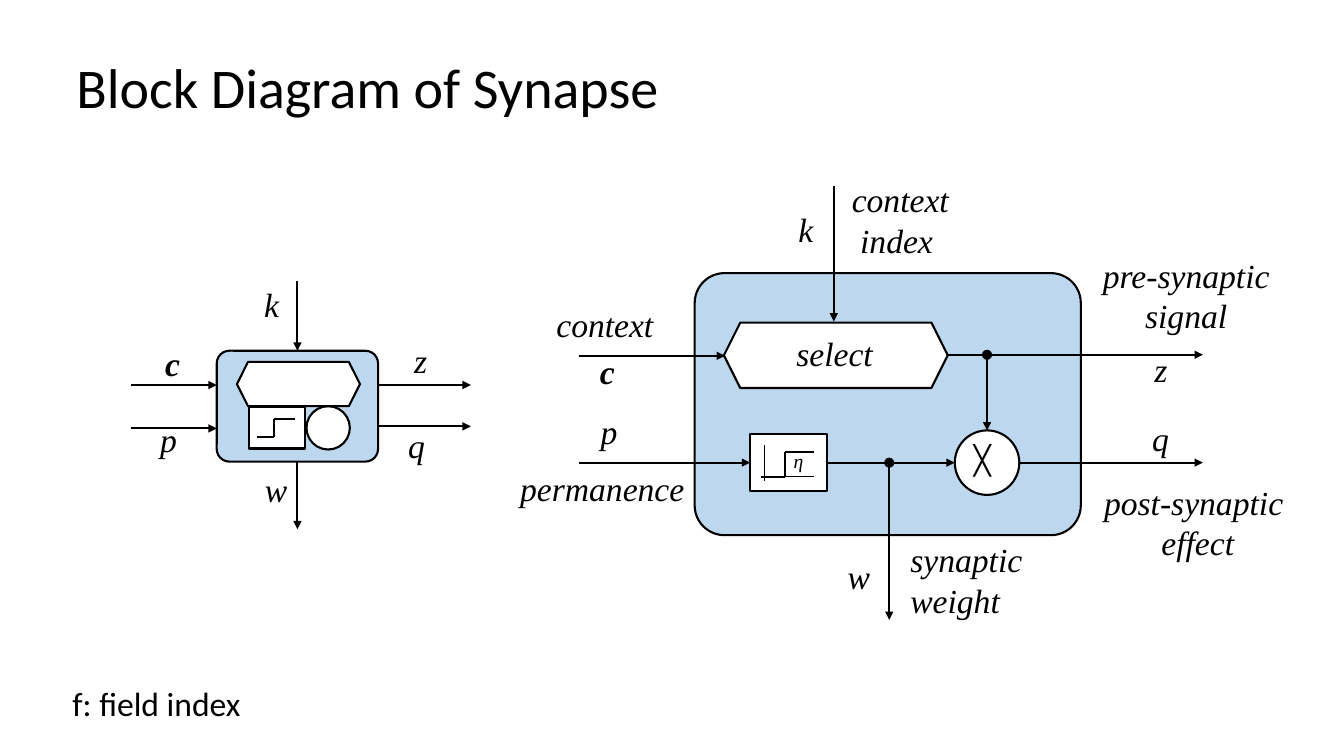
import itertools
from dataclasses import dataclass

import pptx
import pptx.dml.color
import pptx.enum.shapes
import pptx.enum.text
import pptx.oxml
import pptx.oxml.ns
import pptx.util

Inches = pptx.util.Inches
SHAPE = pptx.enum.shapes.MSO_SHAPE
ALIGN = pptx.enum.text.PP_ALIGN
TOP, LEFT, BOTTOM, RIGHT = range(4)


@dataclass(frozen=True)
class Theme:
    ink: str = "000000"
    block: str = "BDD7EE"
    white: str = "FFFFFF"
    heading_font: str = "Calibri"
    label_font: str = "Times New Roman"
    title_size: int = 40
    label_size: int = 24
    cross_size: int = 20
    small_size: int = 14
    line: float = 1.5
    axis_line: float = 0.5


THEME = Theme()


def rgb(value):
    return pptx.dml.color.RGBColor.from_string(value)


def add_text(slide, text, left, top, width, height, align=ALIGN.LEFT, wrap=False, **formats):
    """Add a text box with one paragraph for each line of text."""
    box = slide.shapes.add_textbox(Inches(left), Inches(top), Inches(width), Inches(height))
    frame = box.text_frame
    frame.word_wrap = wrap
    frame.auto_size = pptx.enum.text.MSO_AUTO_SIZE.SHAPE_TO_FIT_TEXT
    values = {"name": THEME.label_font, "size": THEME.label_size, "italic": True} | formats
    values["size"] = pptx.util.Pt(values["size"])
    for index, line in enumerate(text.split("\n")):
        paragraph = frame.paragraphs[0] if index == 0 else frame.add_paragraph()
        paragraph.alignment = align
        run = paragraph.add_run()
        run.text = line
        run.font.color.rgb = rgb(THEME.ink)
        for name, value in values.items():
            setattr(run.font, name, value)


def add_block(slide, kind, left, top, width, height, fill=THEME.white, corner=None):
    """Add an outlined shape."""
    shape = slide.shapes.add_shape(kind, Inches(left), Inches(top), Inches(width), Inches(height))
    shape.shadow.inherit = False
    shape.fill.solid()
    shape.fill.fore_color.rgb = rgb(fill)
    shape.line.color.rgb = rgb(THEME.ink)
    shape.line.width = pptx.util.Pt(THEME.line)
    if corner is not None:
        shape.adjustments[0] = corner
    return shape


def add_dot(slide, x, y, size=0.1):
    """Add a branch point centred on a signal line."""
    dot = add_block(slide, SHAPE.OVAL, x - size / 2, y - size / 2, size, size, THEME.ink)
    dot.line.fill.background()


def add_line(slide, start, end, width=THEME.line, arrow=False, source=None, target=None):
    """Add a line; source and target are (shape, side) pairs to join."""
    line = slide.shapes.add_connector(
        pptx.enum.shapes.MSO_CONNECTOR.STRAIGHT, *map(Inches, (*start, *end)))
    line.line.color.rgb = rgb(THEME.ink)
    line.line.width = pptx.util.Pt(width)
    if arrow:
        head = pptx.oxml.parse_xml(
            f'<a:tailEnd {pptx.oxml.ns.nsdecls("a")} type="triangle"/>')
        line.line._get_or_add_ln().append(head)
    line._element.spPr.append(
        pptx.oxml.parse_xml(f'<a:effectLst {pptx.oxml.ns.nsdecls("a")}/>'))
    if source:
        line.begin_connect(*source)
    if target:
        line.end_connect(*target)


def add_arrow(slide, start, end, **joins):
    add_line(slide, start, end, arrow=True, **joins)


def add_step(slide, left, middle, right, low, high):
    """Add the step curve of a threshold unit."""
    corners = [(left, low), (middle, low), (middle, high), (right, high)]
    for start, end in itertools.pairwise(corners):
        add_line(slide, start, end)


def add_detailed_synapse(slide):
    select_y, weight_y = 3.52, 4.59
    branch_x, product_x = 8.82, 9.79
    input_x, output_x = 5.74, 11.93

    # Body and units
    add_block(slide, SHAPE.ROUNDED_RECTANGLE, 6.89, 2.71, 3.83, 2.6, THEME.block, 0.114)
    add_block(slide, SHAPE.HEXAGON, 7.18, 3.2, 2.22, 0.65)
    threshold = add_block(slide, SHAPE.RECTANGLE, 7.44, 4.31, 0.76, 0.56)
    add_block(slide, SHAPE.OVAL, 9.47, 4.27, 0.64, 0.64)

    # Threshold curve on its axes
    add_line(slide, (7.58, 4.77), (7.58, 4.41), THEME.axis_line)
    add_line(slide, (7.55, 4.73), (8.07, 4.73), THEME.axis_line)
    add_step(slide, 7.55, 7.79, 8.07, 4.73, 4.48)

    # Signals
    add_arrow(slide, (8.27, 1.85), (8.27, 3.19))
    add_arrow(slide, (input_x, 3.53), (7.19, 3.53))
    add_arrow(slide, (input_x, weight_y), (7.44, weight_y), target=(threshold, LEFT))
    add_arrow(slide, (8.2, weight_y), (9.47, weight_y), source=(threshold, RIGHT))
    add_arrow(slide, (9.4, select_y), (output_x, select_y))
    add_arrow(slide, (10.11, weight_y), (output_x, weight_y))
    add_arrow(slide, (product_x, select_y), (product_x, 4.27))
    add_arrow(slide, (branch_x, weight_y), (branch_x, 6.15))
    add_dot(slide, product_x, select_y)
    add_dot(slide, branch_x, weight_y)

    # Labels
    add_text(slide, "select", 7.8, 3.25, 0.98, 0.52)
    add_text(slide, "╳", 9.56, 4.34, 0.48, 0.44, size=THEME.cross_size, italic=False)
    add_text(slide, "η", 7.72, 4.4, 0.4, 0.34, ALIGN.CENTER, True, size=THEME.small_size)
    add_text(slide, "k", 7.82, 2.02, 0.35, 0.5)
    add_text(slide, "context\n index", 8.35, 1.73, 1.17, 0.91)
    add_text(slide, "context", 5.42, 2.97, 1.17, 0.5)
    add_text(slide, "c", 5.85, 3.43, 0.35, 0.5, bold=True)
    add_text(slide, "p", 5.86, 4.03, 0.52, 0.5, wrap=True)
    add_text(slide, "permanence", 5.06, 4.59, 1.85, 0.5)
    add_text(slide, "pre-synaptic\nsignal", 10.83, 2.48, 1.87, 0.91, ALIGN.CENTER)
    add_text(slide, "z", 11.35, 3.41, 0.33, 0.5)
    add_text(slide, "q", 11.33, 4.1, 0.37, 0.5)
    add_text(slide, "post-synaptic \neffect", 10.84, 4.73, 2.08, 0.91, ALIGN.CENTER)
    add_text(slide, "w", 8.31, 5.47, 0.43, 0.5)
    add_text(slide, "synaptic\nweight", 8.93, 5.3, 1.32, 0.91)


def add_compact_synapse(slide):
    middle_x = 2.95

    # Body and units
    body = add_block(slide, SHAPE.ROUNDED_RECTANGLE, 2.15, 3.48, 1.6, 1.1, THEME.block, 0.114)
    add_block(slide, SHAPE.OVAL, 3.04, 4.03, 0.43, 0.43)
    add_block(slide, SHAPE.HEXAGON, 2.35, 3.59, 1.22, 0.44)
    add_block(slide, SHAPE.RECTANGLE, 2.47, 4.04, 0.56, 0.41)
    add_step(slide, 2.55, 2.72, 2.93, 4.34, 4.16)

    # Signals
    add_arrow(slide, (middle_x, 2.79), (middle_x, 3.48), target=(body, TOP))
    add_arrow(slide, (middle_x, 4.58), (middle_x, 5.25), source=(body, BOTTOM))
    for y in (3.82, 4.25):
        add_arrow(slide, (1.3, y), (2.15, y))
    for y in (3.82, 4.23):
        add_arrow(slide, (3.74, y), (4.67, y))

    # Labels
    add_text(slide, "k", 2.52, 2.77, 0.35, 0.5)
    add_text(slide, "c", 1.54, 3.35, 0.35, 0.5, bold=True)
    add_text(slide, "p", 1.49, 4.11, 0.52, 0.5, wrap=True)
    add_text(slide, "z", 4.01, 3.32, 0.33, 0.5)
    add_text(slide, "q", 3.95, 4.17, 0.37, 0.5)
    add_text(slide, "w", 2.53, 4.6, 0.43, 0.5)


def main():
    presentation = pptx.Presentation()
    presentation.slide_width = Inches(13.33)
    presentation.slide_height = Inches(7.5)
    slide = presentation.slides.add_slide(presentation.slide_layouts[6])

    # Title and footnote
    plain = {"name": THEME.heading_font, "italic": False}
    add_text(slide, "Block Diagram of Synapse", 0.66, 0.47, 6.03, 0.77,
             size=THEME.title_size, **plain)
    add_text(slide, "f: field index", 0.62, 6.73, 1.89, 0.5, **plain)

    add_compact_synapse(slide)
    add_detailed_synapse(slide)
    presentation.save("out.pptx")


if __name__ == "__main__":
    main()
